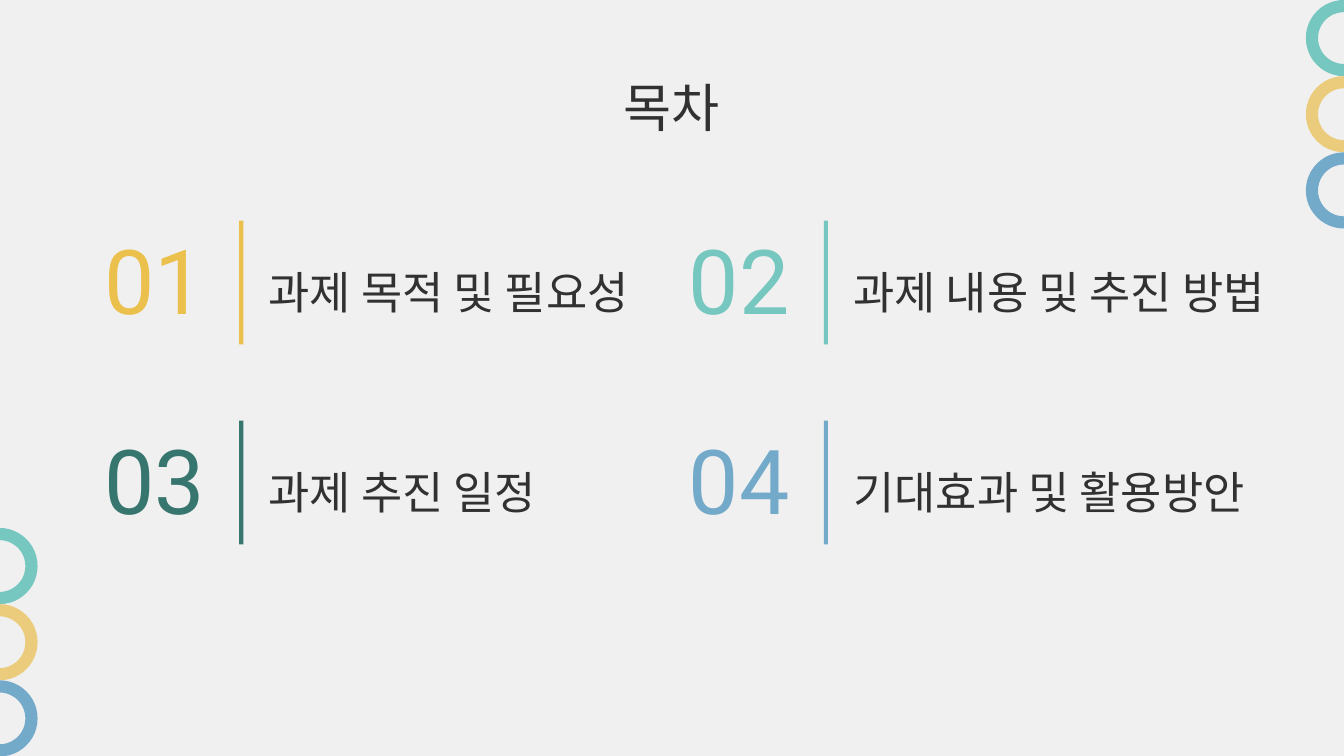
import itertools
from dataclasses import dataclass

import pptx
import pptx.dml.color
import pptx.enum.shapes
import pptx.enum.text
import pptx.oxml
import pptx.oxml.ns
import pptx.util

Cm = pptx.util.Cm
Pt = pptx.util.Pt
RGB = pptx.dml.color.RGBColor.from_string
Kind = pptx.enum.shapes.MSO_SHAPE
Align = pptx.enum.text.PP_ALIGN
Anchor = pptx.enum.text.MSO_ANCHOR


@dataclass(frozen=True)
class Theme:
    back: str = "F0F0F0"
    ink: str = "313131"
    gold: str = "EBC04C"
    sand: str = "EBCC7D"
    mint: str = "75C7BF"
    pine: str = "37756F"
    blue: str = "73A9C9"
    title: int = 28
    label: int = 24
    digit: int = 48
    hangul: str = "Noto Sans CJK KR"
    latin: str = "Roboto"


THEME = Theme()
ITEMS = [
    ("과제 목적 및 필요성", THEME.gold),
    ("과제 내용 및 추진 방법", THEME.mint),
    ("과제 추진 일정", THEME.pine),
    ("기대효과 및 활용방안", THEME.blue),
]
RINGS = [THEME.mint, THEME.sand, THEME.blue]
RING = 1.44
LEFT, TOP = 1.55, 4.17
COL, ROW = 11.05, 3.78
WIDTHS = [7.57, 8.53]


def assign(target, values):
    for name, value in values.items():
        setattr(target, name, value)


def place(shape, box):
    names = ("left", "top", "width", "height")
    assign(shape, dict(zip(names, map(Cm, box))))


def write(shape, text, size, face, color, anchor, align, after=0):
    frame = shape.text_frame
    sides = ("left", "top", "right", "bottom")
    assign(frame, {f"margin_{side}": Cm(0.25) for side in sides})
    assign(frame, {
        "word_wrap": True,
        "auto_size": pptx.enum.text.MSO_AUTO_SIZE.NONE,
        "vertical_anchor": anchor,
    })
    para = frame.paragraphs[0]
    assign(para, {"alignment": align, "space_after": Pt(after)})
    run = para.add_run()
    run.text = text
    assign(run.font, {"size": Pt(size), "name": face, "bold": False})
    run.font.color.rgb = RGB(color)
    # Hangul takes its face from the East Asian font slot.
    east = pptx.oxml.parse_xml(
        f'<a:ea {pptx.oxml.ns.nsdecls("a")} typeface="{face}"/>')
    run.font._element.append(east)


def add_text(slide, box, *style, **extra):
    shape = slide.shapes.add_textbox(*map(Cm, box))
    write(shape, *style, **extra)


def add_solid(slide, kind, box, color):
    shape = slide.shapes.add_shape(kind, *map(Cm, box))
    shape.shadow.inherit = False
    shape.fill.solid()
    shape.fill.fore_color.rgb = RGB(color)
    shape.line.fill.background()
    return shape


def add_rings(slide, left, top):
    for step, color in enumerate(RINGS):
        box = (left, top + step * RING, RING, RING)
        ring = add_solid(slide, Kind.DONUT, box, color)
        ring.adjustments[0] = 0.16


def add_title(slide, text):
    title = slide.shapes.title
    place(title, (2, 1.5, 21.4, 1.02))
    write(title, text, THEME.title, THEME.hangul, THEME.ink,
          Anchor.MIDDLE, Align.CENTER)


def add_item(slide, left, top, width, number, text, color):
    add_solid(slide, Kind.RECTANGLE, (left + 2.97, top, 0.08, 2.34), color)
    add_text(slide, (left + 3.28, top + 0.29, width, 2.11), text,
             THEME.label, THEME.hangul, THEME.ink,
             Anchor.MIDDLE, Align.LEFT, after=16)
    add_text(slide, (left, top + 0.02, 2.57, 2.34), f"{number:02}",
             THEME.digit, THEME.latin, color, Anchor.BOTTOM, Align.RIGHT)


def main():
    deck = pptx.Presentation()
    assign(deck, {"slide_width": Cm(25.4), "slide_height": Cm(14.29)})
    slide = deck.slides.add_slide(deck.slide_layouts.get_by_name("Title Only"))
    slide.background.fill.solid()
    slide.background.fill.fore_color.rgb = RGB(THEME.back)

    add_rings(slide, 24.68, 0)
    add_rings(slide, -0.73, 9.98)
    add_title(slide, "목차")
    cells = itertools.product(range(2), range(2))
    for number, ((row, col), item) in enumerate(zip(cells, ITEMS), 1):
        add_item(slide, LEFT + col * COL, TOP + row * ROW, WIDTHS[col],
                 number, *item)
    deck.save("out.pptx")


if __name__ == "__main__":
    main()
